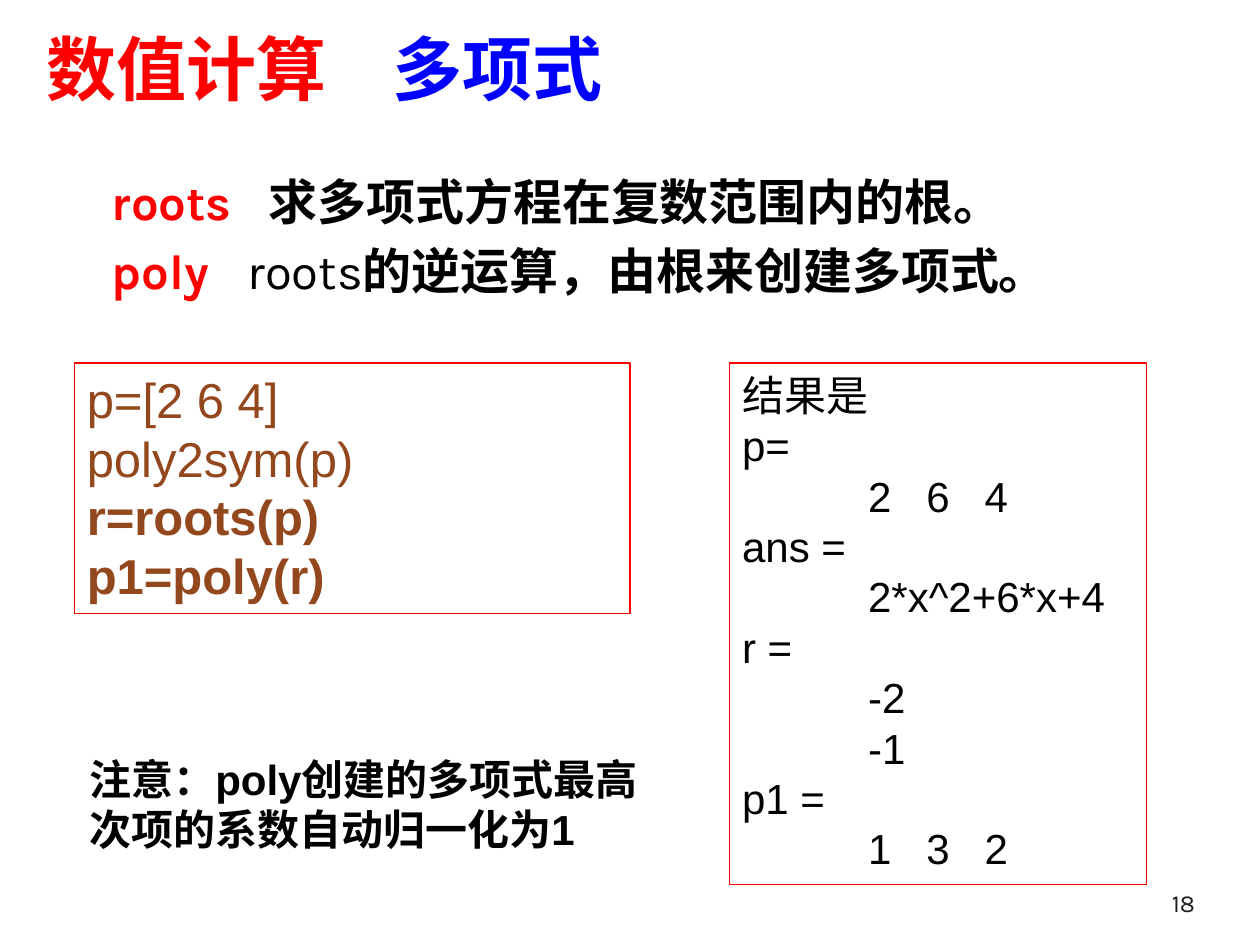
from lxml import etree
from pptx import Presentation
from pptx import util as u
from pptx.dml.color import RGBColor
from pptx.enum import shapes, text
from pptx.oxml.ns import qn

RED, BLUE, BLACK, BROWN = "FF0000", "0000FF", "000000", "93471D"


def color(value):
    return RGBColor.from_string(value)


def add_box(slide, left, top, width, height, anchor=text.MSO_ANCHOR.TOP):
    shape = slide.shapes.add_textbox(*map(u.Pt, (left, top, width, height)))
    shape.text_frame.word_wrap = True
    shape.text_frame.vertical_anchor = anchor
    return shape.text_frame


def add_frame(slide, left, top, width, height):
    shape = slide.shapes.add_shape(
        shapes.MSO_SHAPE.RECTANGLE, *map(u.Pt, (left, top, width, height)))
    shape.shadow.inherit = False
    shape.fill.background()
    shape.line.color.rgb = color(RED)
    shape.line.width = u.Pt(0.75)
    shape.text_frame.word_wrap = True
    shape.text_frame.vertical_anchor = text.MSO_ANCHOR.TOP
    return shape.text_frame


def add_paragraph(frame, tab=None, before=0, align=text.PP_ALIGN.LEFT):
    first = frame.paragraphs[0]
    paragraph = frame.add_paragraph() if first.runs else first
    paragraph.alignment = align
    if tab:
        properties = paragraph._p.get_or_add_pPr()
        tabs = etree.SubElement(properties, qn("a:tabLst"))
        etree.SubElement(tabs, qn("a:tab"), pos=str(u.Pt(tab)), algn="l")
    if before:
        paragraph.space_before = u.Pt(before)
    return paragraph


def add_text(paragraph, content, size=28, fill=BLACK, bold=False, font="Arial"):
    run = paragraph.add_run()
    run.text = content
    run.font.size = u.Pt(size)
    run.font.bold = bold
    run.font.name = font
    run.font.color.rgb = color(fill)


def add_title(slide):
    frame = add_box(slide, 19.5, 15, 618, 51, text.MSO_ANCHOR.BOTTOM)
    paragraph = add_paragraph(frame, tab=198)
    add_text(paragraph, "数值计算\t", size=40, fill=RED, bold=True)
    add_text(paragraph, "多项式", size=40, fill=BLUE, bold=True)


def add_definitions(slide):
    frame = add_box(slide, 48, 94.5, 663, 96.5)
    frame.margin_left = u.Pt(16)
    roots = add_paragraph(frame, tab=89.5)
    add_text(roots, "roots\t", fill=RED, bold=True, font="Karla")
    add_text(roots, "求多项式方程在复数范围内的根。", bold=True, font="Karla")
    poly = add_paragraph(frame, tab=77.5, before=6)
    add_text(poly, "poly\t", fill=RED, bold=True, font="Karla")
    add_text(poly, "roots", font="Karla")
    add_text(poly, "的逆运算，由根来创建多项式。", bold=True, font="Karla")


def add_code(slide):
    frame = add_frame(slide, 42.5, 207.5, 317.5, 143)
    lines = [("p=[2 6 4]", False), ("poly2sym(p)", False),
             ("r=roots(p)", True), ("p1=poly(r)", True)]
    for line, bold in lines:
        add_text(add_paragraph(frame), line, fill=BROWN, bold=bold)


def add_results(slide):
    frame = add_frame(slide, 417, 207.5, 238, 298)
    lines = ["结果是", "p=", "\t2   6   4", "ans =", "\t2*x^2+6*x+4",
             "r =", "\t-2", "\t-1", "p1 =", "\t1   3   2"]
    for line in lines:
        add_text(add_paragraph(frame, tab=72), line, size=24)


def add_note(slide):
    frame = add_box(slide, 44, 427, 329, 65.5)
    add_text(add_paragraph(frame), "注意：poly创建的多项式最高次项的系数自动归一化为1",
             size=24, bold=True)


def add_number(slide):
    frame = add_box(slide, 540, 492, 150, 36, text.MSO_ANCHOR.BOTTOM)
    paragraph = add_paragraph(frame, align=text.PP_ALIGN.RIGHT)
    add_text(paragraph, "18", size=14, fill="1C1C1C", font="Karla")


def main():
    presentation = Presentation()
    presentation.slide_width = u.Pt(720)
    presentation.slide_height = u.Pt(540)
    slide = presentation.slides.add_slide(presentation.slide_layouts[6])
    add_definitions(slide)
    add_code(slide)
    add_note(slide)
    add_title(slide)
    add_results(slide)
    add_number(slide)
    presentation.save("out.pptx")


if __name__ == "__main__":
    main()
